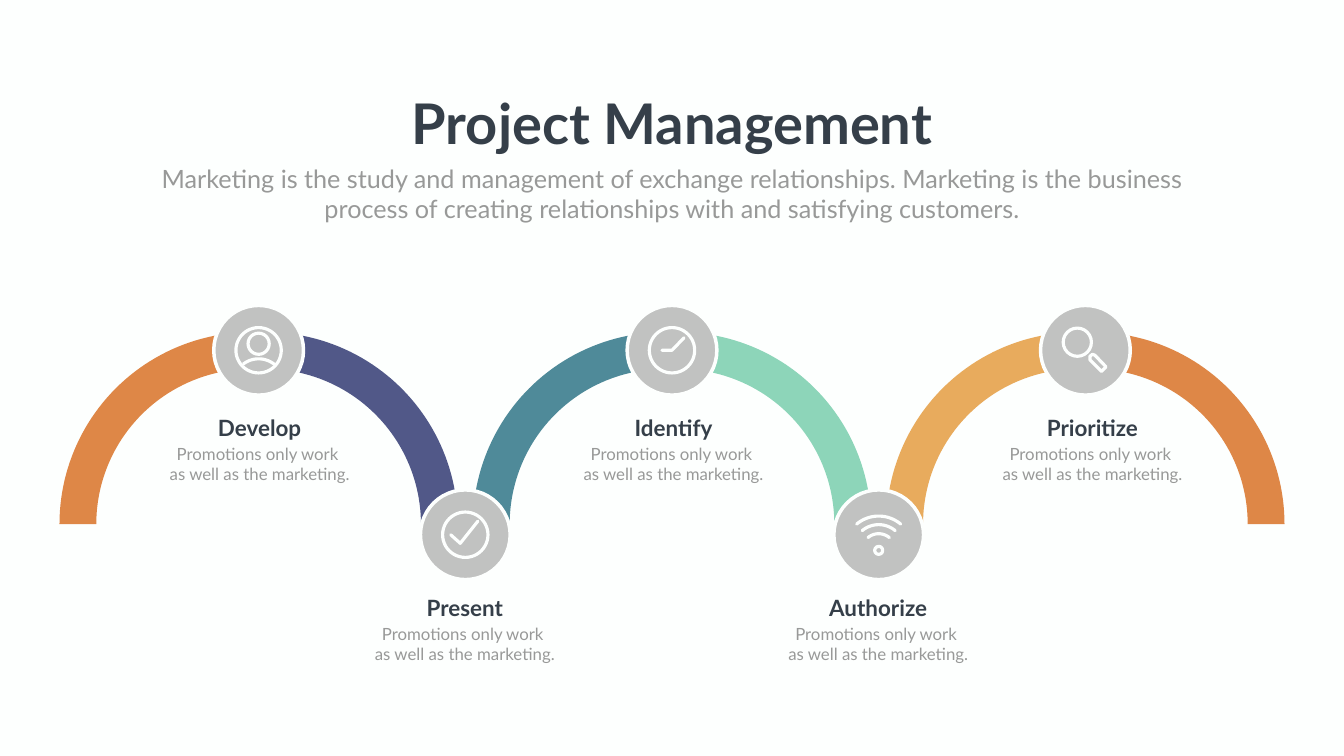
import math
import pptx
import pptx.dml.color
import pptx.enum.shapes
import pptx.enum.text
import pptx.oxml.ns
import pptx.util
from lxml import etree

Inches = pptx.util.Inches
RGBColor = pptx.dml.color.RGBColor

PAPER = RGBColor(0xFD, 0xFF, 0xFE)
INK = RGBColor(0x35, 0x3F, 0x49)
MUTED = RGBColor(0x98, 0x99, 0x98)
HUB = RGBColor(0xC1, 0xC2, 0xC1)
ORANGE = RGBColor(0xDE, 0x87, 0x47)
INDIGO = RGBColor(0x51, 0x58, 0x88)
TEAL = RGBColor(0x4F, 0x8A, 0x99)
MINT = RGBColor(0x8D, 0xD5, 0xB9)
AMBER = RGBColor(0xE8, 0xAB, 0x5D)

FIRST_HUB, HUB_STEP = 5.13, 4.1
TOP_HUB, LOW_HUB = 6.95, 10.61
BAND_BASE, BAND_OUTER, BAND_INNER, BAND_GAP = 10.4, 3.81, 3.08, 0.14
BAND_COLORS = [(ORANGE, INDIGO), (TEAL, MINT), (AMBER, ORANGE)]
STAGE_LINES = ["Promotions only work ", "as well as the marketing."]


def arc_points(x, y, radius, start, end, steps=48):
    angles = [math.radians(start + (end - start) * i / steps) for i in range(steps + 1)]
    return [(x + radius * math.cos(a), y + radius * math.sin(a)) for a in angles]


class SlideBuilder:
    font = "Lato"
    stroke = 4.5

    def __init__(self, page):
        self.page = page
        self.shapes = page.shapes
        page.background.fill.solid()
        page.background.fill.fore_color.rgb = PAPER

    def start_group(self):
        self.shapes = self.page.shapes.add_group_shape().shapes

    def end_group(self):
        self.shapes = self.page.shapes

    def paint(self, shape, fill=None, line=None, width=stroke):
        shape.shadow.inherit = False
        if fill is None:
            shape.fill.background()
        else:
            shape.fill.solid()
            shape.fill.fore_color.rgb = fill
        if line is None:
            shape.line.fill.background()
        else:
            shape.line.color.rgb = line
            shape.line.width = pptx.util.Pt(width)

    def outline(self, points, closed):
        corners = [(Inches(x), Inches(y)) for x, y in points]
        builder = self.shapes.build_freeform(*corners[0])
        builder.add_line_segments(corners[1:], close=closed)
        return builder.convert_to_shape()

    def band(self, x, start, color):
        outer = arc_points(x, BAND_BASE, BAND_OUTER, start, start + 90)
        inner = arc_points(x, BAND_BASE, BAND_INNER, start + 90, start)
        self.paint(self.outline(outer + inner, True), color)

    def circle(self, x, y, radius, fill=None, width=stroke):
        oval = self.shapes.add_shape(
            pptx.enum.shapes.MSO_SHAPE.OVAL,
            Inches(x - radius), Inches(y - radius), Inches(2 * radius), Inches(2 * radius))
        self.paint(oval, fill, PAPER, width)

    def stroke_line(self, points, closed=False):
        shape = self.outline(points, closed)
        self.paint(shape, None, PAPER)
        line = shape.element.spPr.find(pptx.oxml.ns.qn("a:ln"))
        line.set("cap", "rnd")
        etree.SubElement(line, pptx.oxml.ns.qn("a:round"))

    def set_lines(self, box, lines, size, color, bold=False, wrap=True):
        frame = box.text_frame
        frame.word_wrap = wrap
        frame.auto_size = pptx.enum.text.MSO_AUTO_SIZE.NONE
        frame.vertical_anchor = pptx.enum.text.MSO_ANCHOR.TOP
        for index, line in enumerate(lines):
            para = frame.add_paragraph() if index else frame.paragraphs[0]
            para.alignment = pptx.enum.text.PP_ALIGN.CENTER
            para.space_before = pptx.util.Pt(0)
            para.line_spacing = 1.0
            span = para.add_run()
            span.text = line
            span.font.name = self.font
            span.font.size = pptx.util.Pt(size)
            span.font.bold = bold
            span.font.color.rgb = color

    def text(self, x, y, width, height, lines, size, color, bold=False):
        box = self.shapes.add_textbox(
            Inches(x - width / 2), Inches(y), Inches(width), Inches(height))
        self.set_lines(box, lines, size, color, bold)

    def placeholder(self, box, left, top, width, height, line, size, color, bold=False, wrap=True):
        box.left, box.top = Inches(left), Inches(top)
        box.width, box.height = Inches(width), Inches(height)
        properties = box.text_frame.paragraphs[0]._p.get_or_add_pPr()
        properties.set("marL", "0")
        properties.set("indent", "0")
        etree.SubElement(properties, pptx.oxml.ns.qn("a:buNone"))
        self.set_lines(box, [line], size, color, bold, wrap)


def draw_person(slide, x, y):
    slide.circle(x, y, 0.45)
    slide.circle(x, y - 0.13, 0.21)
    slide.stroke_line(arc_points(x, y + 0.67, 0.5, 233, 307))


def draw_check(slide, x, y):
    slide.circle(x, y, 0.45)
    slide.stroke_line([(x - 0.29, y), (x - 0.1, y + 0.17), (x + 0.25, y - 0.27)])


def draw_clock(slide, x, y):
    slide.circle(x, y, 0.45)
    slide.stroke_line([(x - 0.2, y), (x, y), (x + 0.24, y - 0.25)])


def draw_signal(slide, x, y):
    slide.circle(x, y + 0.31, 0.08)
    for radius in (0.33, 0.51, 0.68):
        slide.stroke_line(arc_points(x, y + 0.31, radius, 230, 310))


def draw_magnifier(slide, x, y):
    slide.circle(x - 0.16, y - 0.16, 0.28)
    handle = [(0.32, 0.42), (0.09, 0.19), (0.09, 0.12), (0.14, 0.08), (0.19, 0.1), (0.41, 0.33)]
    slide.stroke_line([(x + dx, y + dy) for dx, dy in handle], True)


STAGES = [
    ("Develop", 5.15, draw_person),
    ("Present", 9.22, draw_check),
    ("Identify", 13.36, draw_clock),
    ("Authorize", 17.42, draw_signal),
    ("Prioritize", 21.67, draw_magnifier),
]


def main():
    deck = pptx.Presentation()
    deck.slide_width, deck.slide_height = Inches(26.66), Inches(15)
    page = deck.slides.add_slide(deck.slide_layouts[1])
    slide = SlideBuilder(page)

    slide.placeholder(page.shapes.title, 7.95, 1.7, 10.76, 1.45,
                      "Project Management", 80, INK, bold=True, wrap=False)
    slide.placeholder(page.placeholders[1], 2.92, 3.19, 20.82, 1.31,
                      "Marketing is the study and management of exchange relationships. "
                      "Marketing is the business process of creating relationships with "
                      "and satisfying customers.", 36, MUTED)

    for index, (left_color, right_color) in enumerate(BAND_COLORS):
        center = FIRST_HUB + 2 * index * HUB_STEP
        slide.band(center - BAND_GAP, 180, left_color)
        slide.band(center + BAND_GAP, 270, right_color)

    for index, (name, label_x, draw_icon) in enumerate(STAGES):
        hub_x = FIRST_HUB + index * HUB_STEP
        hub_y, label_y = (LOW_HUB, 11.73) if index % 2 else (TOP_HUB, 8.16)
        slide.circle(hub_x, hub_y, 0.89, HUB, 5)
        slide.start_group()
        draw_icon(slide, hub_x, hub_y)
        slide.end_group()
        slide.text(label_x, label_y, 2.58, 0.64, [name], 32, INK, True)
        slide.text(label_x, label_y + 0.59, 4.49, 0.91, STAGE_LINES, 24, MUTED)

    deck.save("out.pptx")


if __name__ == "__main__":
    main()
